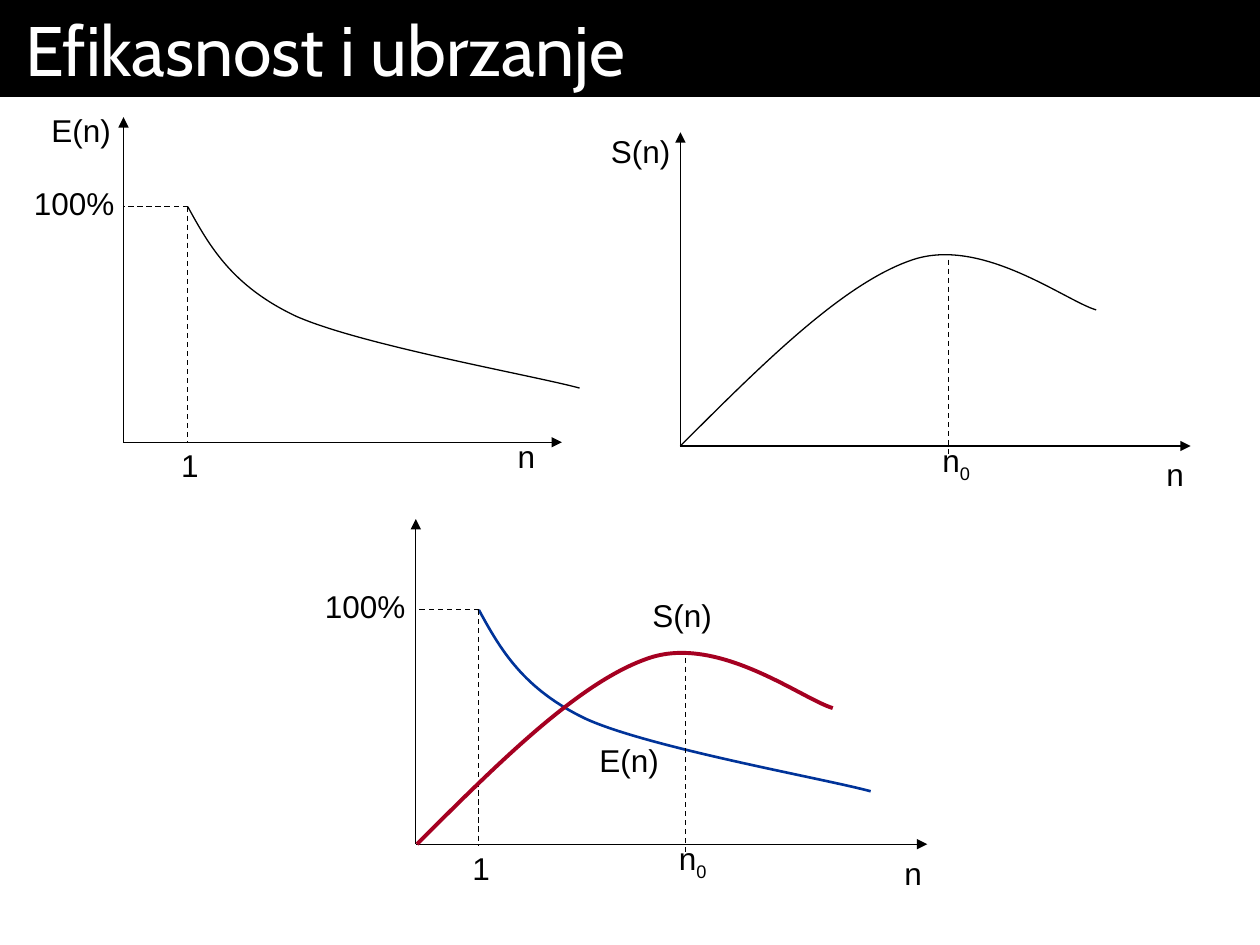
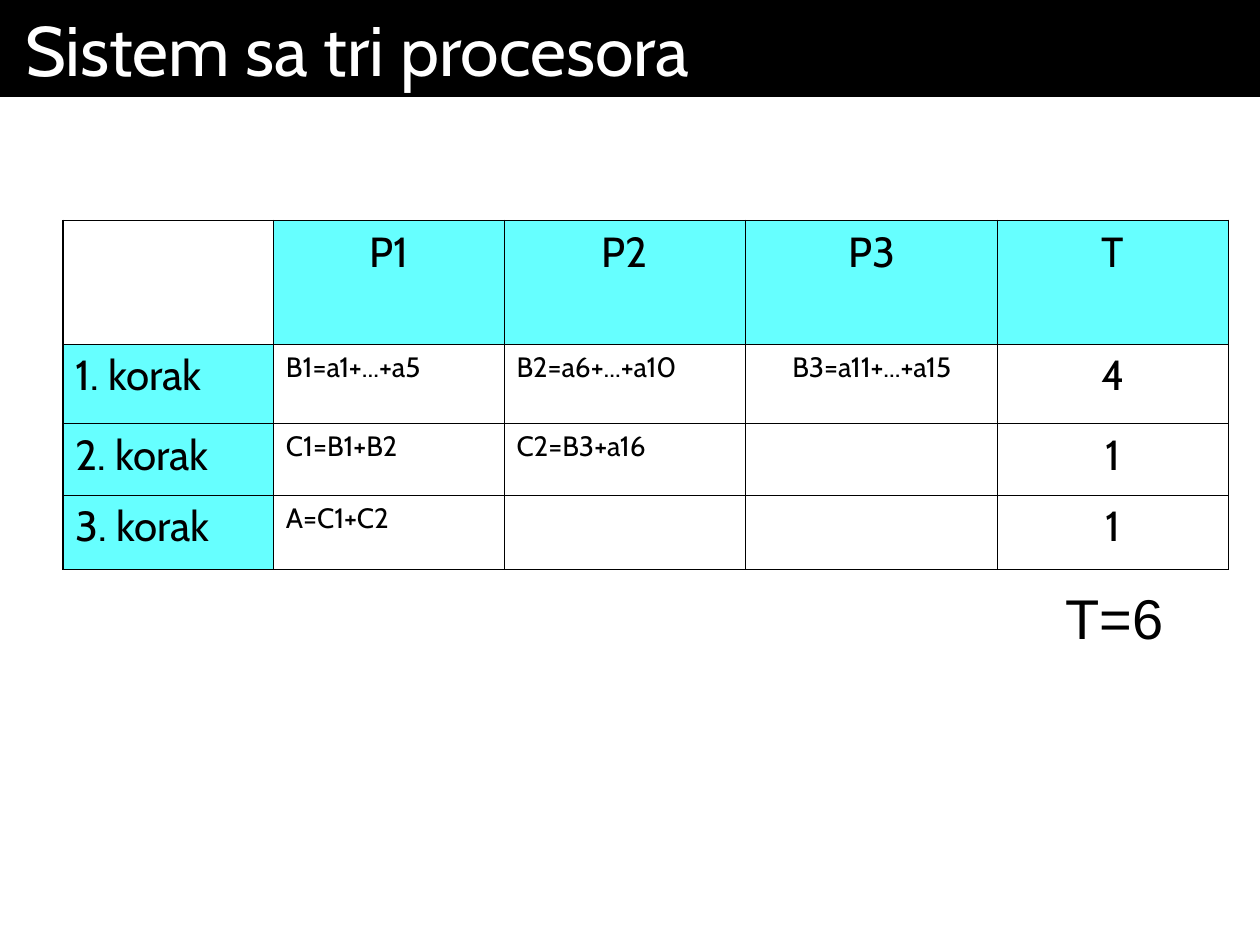
import pptx
import pptx.dml.color
import pptx.enum.dml
import pptx.enum.shapes
import pptx.enum.text
import pptx.oxml
import pptx.oxml.ns
import pptx.util
from lxml import etree

BLACK = pptx.dml.color.RGBColor(0x00, 0x00, 0x00)
WHITE = pptx.dml.color.RGBColor(0xFF, 0xFF, 0xFF)
BLUE = pptx.dml.color.RGBColor(0x00, 0x33, 0x99)
RED = pptx.dml.color.RGBColor(0xA5, 0x00, 0x21)
CYAN = pptx.dml.color.RGBColor(0x66, 0xFF, 0xFF)

LEFT = pptx.enum.text.PP_ALIGN.LEFT
CENTER = pptx.enum.text.PP_ALIGN.CENTER
TOP = pptx.enum.text.MSO_ANCHOR.TOP
MIDDLE = pptx.enum.text.MSO_ANCHOR.MIDDLE
BOTTOM = pptx.enum.text.MSO_ANCHOR.BOTTOM

EFFICIENCY = [
    (0, 0),
    (0.17, 0.31), (0.35, 0.63), (0.86, 0.87),
    (1.38, 1.1), (2.74, 1.34), (3.11, 1.44),
]
SPEEDUP = [
    (0, 0),
    (0.65, -0.65), (1.3, -1.3), (1.85, -1.48),
    (2.4, -1.66), (3.06, -1.15), (3.3, -1.08),
]


def inches(*values):
    return [pptx.util.Inches(value) for value in values]


def write(frame, text, size=18, font="Arial", color=BLACK, align=LEFT, subscript=""):
    paragraph = frame.paragraphs[0]
    paragraph.alignment = align
    for part in filter(None, (text, subscript)):
        run = paragraph.add_run()
        run.text = part
        run.font.size = pptx.util.Pt(size)
        run.font.name = font
        run.font.color.rgb = color
    if subscript:
        run._r.get_or_add_rPr().set("baseline", "-25000")


def join_as_cubics(shape):
    path = shape._element.find(".//" + pptx.oxml.ns.qn("a:path"))
    controls = path.findall(pptx.oxml.ns.qn("a:lnTo"))
    for first in range(0, len(controls), 3):
        cubic = etree.SubElement(path, pptx.oxml.ns.qn("a:cubicBezTo"))
        for control in controls[first:first + 3]:
            cubic.append(control[0])
            path.remove(control)


class Deck:
    heading_font = "Cabin"
    thin = 0.75
    inner_border = 0.45
    outer_border = 1.08

    def __init__(self):
        self.presentation = pptx.Presentation()
        width, height = inches(10, 7.5)
        self.presentation.slide_width = width
        self.presentation.slide_height = height
        self.slide = None
        self.shapes = None

    def new_slide(self, heading):
        layout = self.presentation.slide_layouts[6]
        self.slide = self.presentation.slides.add_slide(layout)
        self.ungroup()
        band = self.shapes.add_shape(
            pptx.enum.shapes.MSO_SHAPE.RECTANGLE, *inches(0, 0, 10, 0.77)
        )
        band.shadow.inherit = False
        band.fill.solid()
        band.fill.fore_color.rgb = BLACK
        band.line.fill.background()
        frame = band.text_frame
        frame.word_wrap = True
        frame.vertical_anchor = MIDDLE
        frame.margin_left, frame.margin_right = inches(0.2, 0.2)
        write(frame, heading, size=40, font=self.heading_font, color=WHITE)

    def group(self):
        self.shapes = self.slide.shapes.add_group_shape().shapes

    def ungroup(self):
        self.shapes = self.slide.shapes

    def label(self, text, left, top, width, height=0.4, anchor=BOTTOM, **style):
        box = self.shapes.add_textbox(*inches(left, top, width, height))
        frame = box.text_frame
        frame.word_wrap = False
        frame.auto_size = pptx.enum.text.MSO_AUTO_SIZE.SHAPE_TO_FIT_TEXT
        frame.vertical_anchor = anchor
        write(frame, text, **style)

    def line(self, start, end, dashed=False, arrow=False):
        connector = self.shapes.add_connector(
            pptx.enum.shapes.MSO_CONNECTOR.STRAIGHT, *inches(*start, *end)
        )
        connector.line.color.rgb = BLACK
        connector.line.width = pptx.util.Pt(self.thin)
        if dashed:
            connector.line.dash_style = pptx.enum.dml.MSO_LINE.DASH
        properties = connector._element.spPr
        if arrow:
            outline = properties.find(pptx.oxml.ns.qn("a:ln"))
            etree.SubElement(outline, pptx.oxml.ns.qn("a:tailEnd"), type="triangle")
        etree.SubElement(properties, pptx.oxml.ns.qn("a:effectLst"))

    def curve(self, controls, origin, color, weight):
        x, y = origin
        points = [inches(x + dx, y + dy) for dx, dy in controls]
        builder = self.shapes.build_freeform(*points[0])
        builder.add_line_segments(points[1:], close=False)
        shape = builder.convert_to_shape()
        join_as_cubics(shape)
        shape.shadow.inherit = False
        shape.fill.background()
        shape.line.color.rgb = color
        shape.line.width = pptx.util.Pt(weight)

    def axes(self, origin, length, height):
        x, y = origin
        self.line(origin, (x + length, y), arrow=True)
        self.line(origin, (x, y - height), arrow=True)

    def efficiency(self, origin, color=BLACK, weight=thin):
        x, y = origin
        peak = (x + 0.51, y - 1.87)
        self.curve(EFFICIENCY, peak, color, weight)
        self.line(peak, (peak[0], y), dashed=True)
        self.line(peak, (x, peak[1]), dashed=True)
        self.label("1", x + 0.36, y - 0.02, 0.34)
        self.label("100%", x - 0.81, y - 2.1, 0.84)

    def speedup(self, origin, color=BLACK, weight=thin):
        x, y = origin
        self.curve(SPEEDUP, origin, color, weight)
        self.line((x + 2.13, y - 1.48), (x + 2.13, y + 0.07), dashed=True)
        self.label("n", x + 1.98, y - 0.09, 0.42, 0.44, subscript="0")

    def border(self, cell, widths):
        properties = cell._tc.get_or_add_tcPr()
        for position, (side, width) in enumerate(zip("LRTB", widths)):
            edge = pptx.oxml.parse_xml(
                f'<a:ln{side} {pptx.oxml.ns.nsdecls("a")} w="{pptx.util.Pt(width)}">'
                f'<a:solidFill><a:srgbClr val="{BLACK}"/></a:solidFill></a:ln{side}>'
            )
            properties.insert(position, edge)

    def schedule(self, rows, left, top, column_widths, row_heights):
        table = self.shapes.add_table(
            len(rows),
            len(column_widths),
            *inches(left, top, sum(column_widths), sum(row_heights)),
        ).table
        table.first_row = table.horz_banding = False
        for column, width in zip(table.columns, column_widths):
            column.width = pptx.util.Inches(width)
        for row, height in zip(table.rows, row_heights):
            row.height = pptx.util.Inches(height)
        last_row, last_column = len(rows) - 1, len(column_widths) - 1
        for r, texts in enumerate(rows):
            for c, text in enumerate(texts):
                cell = table.cell(r, c)
                if (r == 0) != (c == 0):
                    cell.fill.solid()
                    cell.fill.fore_color.rgb = CYAN
                else:
                    cell.fill.background()
                outer = (c == 0, c == last_column, r == 0, r == last_row)
                self.border(
                    cell,
                    [self.outer_border if o else self.inner_border for o in outer],
                )
                operation = r > 0 and 0 < c < last_column
                write(
                    cell.text_frame,
                    text,
                    size=16 if operation else 24,
                    font=self.heading_font,
                    align=CENTER if r == 0 or c >= 3 else LEFT,
                )


def main():
    deck = Deck()

    deck.new_slide("Efikasnost i ubrzanje")
    deck.group()
    efficiency_origin = (0.98, 3.51)
    deck.axes(efficiency_origin, 3.48, 2.58)
    deck.efficiency(efficiency_origin)
    deck.label("E(n)", 0.31, 0.83, 0.67)
    deck.label("n", 4.01, 3.42, 0.34)

    deck.group()
    speedup_origin = (5.4, 3.54)
    deck.axes(speedup_origin, 4.05, 2.49)
    deck.speedup(speedup_origin)
    deck.label("S(n)", 4.75, 1, 0.67)
    deck.label("n", 9.16, 3.56, 0.34)

    deck.ungroup()
    deck.axes((3.3, 6.7), 4.06, 2.58)
    deck.efficiency((3.29, 6.71), color=BLUE, weight=1.5)
    deck.speedup((3.31, 6.7), color=RED, weight=2.25)
    deck.label("E(n)", 4.66, 5.83, 0.67)
    deck.label("S(n)", 5.08, 4.68, 0.67)
    deck.label("n", 7.08, 6.73, 0.34)

    deck.new_slide("Sistem sa tri procesora")
    steps = [
        ["", "P1", "P2", "P3", "T"],
        ["1. korak", "B1=a1+...+a5", "B2=a6+...+a10", "B3=a11+...+a15", "4"],
        ["2. korak", "C1=B1+B2", "C2=B3+a16", "", "1"],
        ["3. korak", "A=C1+C2", "", "", "1"],
    ]
    deck.schedule(
        steps, 0.5, 1.75, [1.67, 1.83, 1.92, 2, 1.83], [0.98, 0.63, 0.57, 0.59]
    )
    deck.label("T=6", 8.36, 4.58, 0.98, 0.64, anchor=TOP, size=32)

    deck.presentation.save("out.pptx")


if __name__ == "__main__":
    main()
